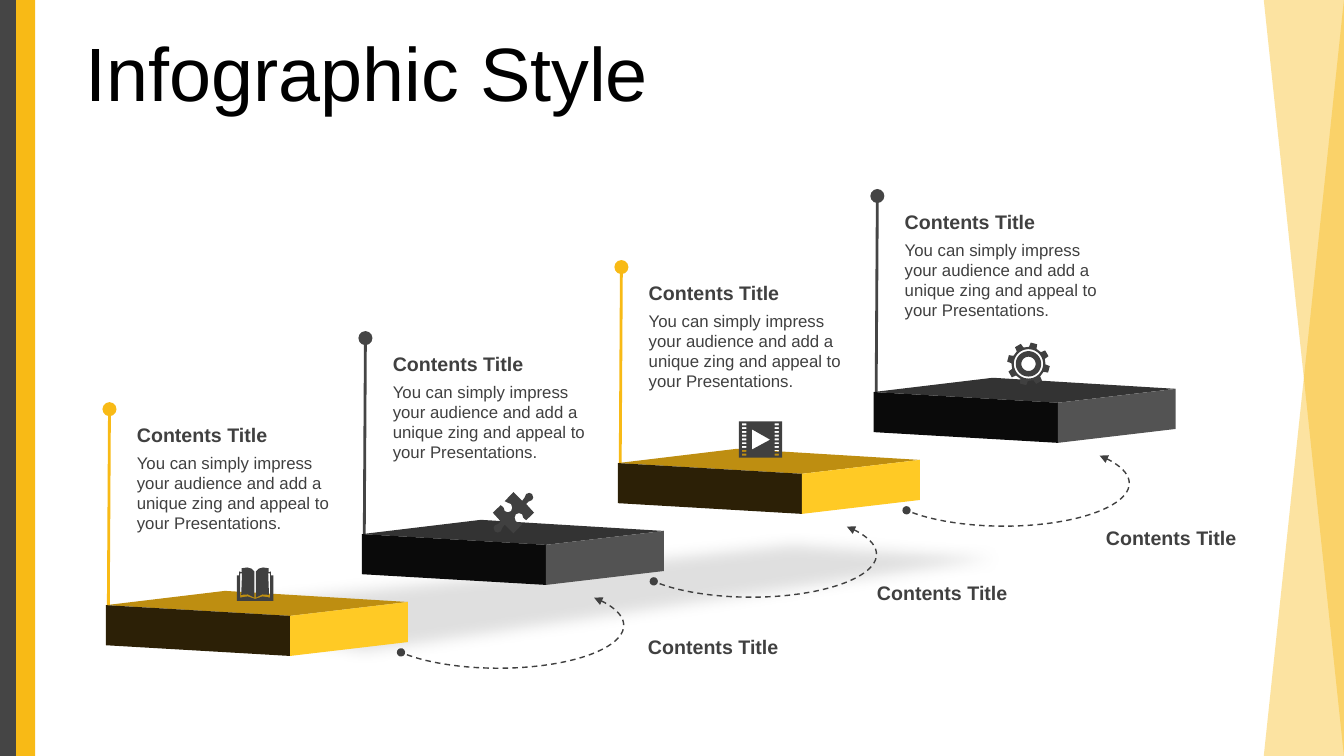
"""Build a slide of four rising slabs with captions, icons and arrows."""
import math

import lxml.etree
import pptx
import pptx.dml.color
import pptx.enum.dml
import pptx.enum.shapes
import pptx.enum.text
import pptx.oxml.ns
import pptx.util

Cm = pptx.util.Cm
Pt = pptx.util.Pt
KIND = pptx.enum.shapes.MSO_SHAPE
HUES = {
    "gold": "F8BA16", "slate": "454545", "ink": "404040", "black": "000000", "haze": "808080",
    "gold top": "BE8E11", "gold front": "2C2006", "gold side": "FFCA25",
    "slate top": "333333", "slate front": "0A0A0A", "slate side": "535353",
}
HEAD = "Contents Title"
BODY = "You can simply impress your audience and add a unique zing and appeal to your Presentations."
STEP = 6.45
RISE = 1.79
BOOK = [(0.01, 0.79), (0.19, 0.73), (0.38, 0.76), (0.38, 0.15), (0.33, 0.15), (0.35, 0.69),
        (0.18, 0.68), (0.02, 0.76), (0.02, 0.1), (0.09, 0.03), (0.2, 0), (0.34, 0.02),
        (0.34, 0.12), (0.4, 0.1), (0.4, 0.2), (0.46, 0.2), (0.46, 0.84)]
PIECE = [(0.22, -0.3), (0.28, -0.38), (0.32, -0.47), (0.4, -0.5), (0.47, -0.47), (0.5, -0.38),
         (0.47, -0.32), (0.38, -0.28), (0.32, -0.22), (0.52, 0), (0.32, 0.19), (0.25, 0.13),
         (0.22, 0.04), (0.14, 0.01), (0.06, 0.04), (0.03, 0.13), (0.06, 0.22), (0.14, 0.25),
         (0.22, 0.29), (0, 0.52)]


def rgb(hue):
    """Return the named colour."""
    return pptx.dml.color.RGBColor.from_string(HUES[hue])


def add_tag(node, name, **attrs):
    """Append a drawing element and return it."""
    return lxml.etree.SubElement(node, pptx.oxml.ns.qn("a:" + name), attrs)


def paint(shape, hue, alpha=None):
    """Fill a shape plainly, with optional opacity in percent."""
    shape.shadow.inherit = False
    shape.line.fill.background()
    shape.fill.solid()
    shape.fill.fore_color.rgb = rgb(hue)
    if alpha:
        color = shape.element.spPr.find(".//" + pptx.oxml.ns.qn("a:srgbClr"))
        add_tag(color, "alpha", val=str(alpha * 1000))


def add_bar(slide, left, hue):
    """Add a full-height bar at the left edge."""
    bar = slide.shapes.add_shape(KIND.RECTANGLE, Cm(left), 0, Cm(0.48), Cm(19.05))
    paint(bar, hue)


def add_wedge(slide, flips):
    """Add a see-through triangle at the right edge."""
    wedge = slide.shapes.add_shape(KIND.RIGHT_TRIANGLE, Cm(31.85), 0, Cm(2.02), Cm(19.05))
    paint(wedge, "gold", 40)
    for flip in flips:
        wedge.element.spPr.xfrm.set(flip, "1")


def add_form(slide, loops, hue, x=0, y=0, alpha=None):
    """Add one outline made of closed loops, moved by x and y."""
    loops = [[(Cm(x + a), Cm(y + b)) for a, b in loop] for loop in loops]
    pen = slide.shapes.build_freeform(*loops[0][0])
    pen.add_line_segments(loops[0][1:], close=True)
    for loop in loops[1:]:
        pen.move_to(*loop[0])
        pen.add_line_segments(loop[1:], close=True)
    form = pen.convert_to_shape()
    paint(form, hue, alpha)
    return form


def add_text(slide, text, left, top, width, height, size, bold=False, hue="ink"):
    """Add a text box with one paragraph and return it."""
    box = slide.shapes.add_textbox(Cm(left), Cm(top), Cm(width), Cm(height))
    box.text_frame.word_wrap = True
    para = box.text_frame.paragraphs[0]
    para.text = text
    para.font.name = "Arial"
    para.font.size = Pt(size)
    para.font.bold = bold
    para.font.color.rgb = rgb(hue)
    return box


def add_title(slide):
    """Add the slide title."""
    frame = add_text(slide, "Infographic Style", 1.9, 0.94, 31.14, 2, 54, hue="black").text_frame
    frame.vertical_anchor = pptx.enum.text.MSO_ANCHOR.MIDDLE
    frame.paragraphs[0].line_spacing = 0.9


def add_pole(slide, x, y, hue):
    """Add a pole with a round top."""
    kind = pptx.enum.shapes.MSO_CONNECTOR.STRAIGHT
    pole = slide.shapes.add_connector(kind, Cm(x), Cm(y), Cm(x + 0.03), Cm(y - 4.99))
    pole.line.color.rgb = rgb(hue)
    pole.line.width = Pt(2)
    add_tag(pole.line.fill and pole.element.spPr.ln, "tailEnd", type="oval", w="lg", len="lg")
    add_tag(pole.element.spPr, "effectLst")


def add_shade(slide):
    """Add the soft shade beneath the slabs."""
    edge = [(0.79, 15.37), (8.79, 16.69), (9.45, 16.71), (28.47, 13.94), (19.84, 13.36)]
    shade = add_form(slide, [edge], "haze", alpha=25)
    effects = shade.element.spPr.find(pptx.oxml.ns.qn("a:effectLst"))
    add_tag(effects, "softEdge", rad=str(Cm(0.35)))


def add_slab(slide, x, y, hue):
    """Add the three visible faces of a slab."""
    left, back, right, front = (0, 0), (3, -0.36), (7.61, -0.08), (4.64, 0.27)
    add_form(slide, [[left, back, right, front]], hue + " top", x, y)
    for name, (a, b), (c, d) in (("front", left, front), ("side", front, right)):
        face = [(a, b), (c, d), (c, d + 1.01), (a, b + 1.01)]
        add_form(slide, [face], f"{hue} {name}", x, y)


def add_arc(slide, x, y):
    """Add a dashed arc with an arrow and a dot."""
    arc = slide.shapes.add_shape(KIND.ARC, Cm(x), Cm(y), Cm(6.32), Cm(2.16))
    arc.shadow.inherit = False
    arc.adjustments[0] = 206.33
    arc.adjustments[1] = 98.7
    arc.fill.background()
    arc.line.color.rgb = rgb("ink")
    arc.line.width = Pt(1)
    arc.line.dash_style = pptx.enum.dml.MSO_LINE.DASH
    add_tag(arc.element.spPr.ln, "headEnd", type="triangle")
    add_tag(arc.element.spPr.ln, "tailEnd", type="oval")


def box(x, y, width, height):
    """Return the corners of a box."""
    return [(x, y), (x + width, y), (x + width, y + height), (x, y + height)]


def ring(radius):
    """Return points around a circle."""
    turns = [math.tau * i / 48 for i in range(48)]
    return [(radius * math.cos(t), radius * math.sin(t)) for t in turns]


def cog():
    """Return the edge of an eight-toothed wheel."""
    edge = []
    for tooth in range(8):
        for shift, radius in ((-13, 0.43), (-9, 0.54), (9, 0.54), (13, 0.43)):
            turn = math.radians(15 + 45 * tooth + shift)
            edge.append((radius * math.cos(turn), radius * math.sin(turn)))
    return edge


def add_icons(slide):
    """Add the book, puzzle, film and gear icons."""
    book = BOOK + [(-x, y) for x, y in reversed(BOOK)]
    piece = PIECE + [(-x, -y) for x, y in PIECE]
    holes = [box(x, 0.05 + 0.095 * row, 0.11, 0.05) for x in (0.08, 0.9) for row in range(9)]
    film = [box(0, 0, 1.09, 0.91), [(0.33, 0.2), (0.33, 0.71), (0.79, 0.46)]] + holes
    gear = [cog(), ring(0.37), ring(0.32), ring(0.18)]
    for loops, x, y in (([book], 6.43, 14.3), ([piece], 12.94, 12.92),
                        (film, 18.62, 10.62), (gear, 25.92, 9.17)):
        add_form(slide, loops, "ink", x, y)


def main():
    """Build and save the slide."""
    deck = pptx.Presentation()
    deck.slide_width, deck.slide_height = Cm(33.87), Cm(19.05)
    slide = deck.slides.add_slide(deck.slide_layouts[6])
    add_wedge(slide, ("flipH", "flipV"))
    add_bar(slide, 0, "slate")
    add_bar(slide, 0.41, "gold")
    add_wedge(slide, ("flipH",))
    add_title(slide)
    steps = [(i * STEP, -i * RISE, hue) for i, hue in enumerate(("gold", "slate") * 2)]
    for x, y, hue in steps:
        add_pole(slide, 2.73 + x, 15.3 + y, hue)
    add_shade(slide)
    for x, y, hue in steps:
        add_slab(slide, 2.67 + x, 15.25 + y, hue)
        add_text(slide, BODY, 3.2 + x, 11.28 + y, 5.56, 2.31, 12)
        add_text(slide, HEAD, 3.2 + x, 10.54 + y, 5.56, 0.86, 14, True)
    for i in range(3):
        add_arc(slide, 9.4 + 6.37 * i, 14.68 - RISE * i)
        add_text(slide, HEAD, 16.08 + 5.77 * i, 15.88 - 1.37 * i, 3.81, 0.86, 14, True)
    add_icons(slide)
    deck.save("out.pptx")


if __name__ == "__main__":
    main()
